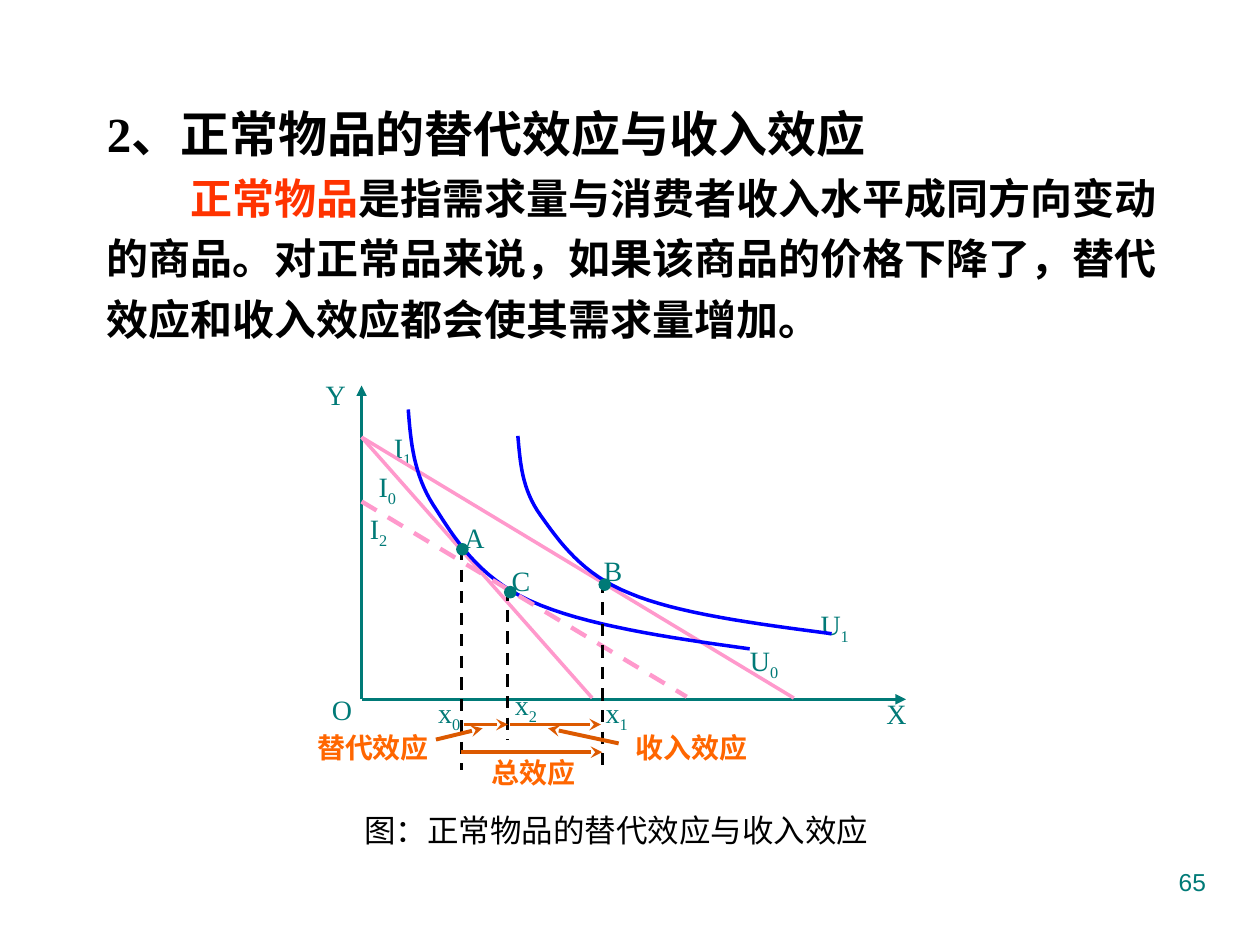
import pptx
import pptx.util
import pptx.dml.color
import pptx.enum.dml
import pptx.enum.shapes
import pptx.enum.text
import pptx.oxml.ns
from lxml import etree

Inches = pptx.util.Inches
Pt = pptx.util.Pt
RGBColor = pptx.dml.color.RGBColor
Align = pptx.enum.text.PP_ALIGN
Dash = pptx.enum.dml.MSO_LINE.DASH
qn = pptx.oxml.ns.qn

TEAL = RGBColor(0x00, 0x7A, 0x77)
BLACK = RGBColor(0, 0, 0)
RED = RGBColor(0xFF, 0x33, 0x00)
PINK = RGBColor(0xFF, 0x99, 0xCC)
BLUE = RGBColor(0, 0, 0xFF)
ORANGE = RGBColor(0xFF, 0x66, 0x00)
RUST = RGBColor(0xDC, 0x59, 0x00)
SERIF = "Times New Roman"

MARKS = [
    ("O", "", 2.45, 5.46), ("X", "", 6.85, 5.49), ("Y", "", 2.4, 2.96),
    ("A", "", 3.5, 4.09), ("B", "", 4.6, 4.35), ("C", "", 3.87, 4.43),
    ("U", "0", 5.8, 5.07), ("U", "1", 6.36, 4.78),
    ("I", "0", 2.81, 3.69), ("I", "1", 2.93, 3.38), ("I", "2", 2.74, 4.02),
    ("x", "0", 3.3, 5.48), ("x", "1", 4.63, 5.48), ("x", "2", 3.91, 5.42),
]
EFFECTS = [
    ("替代效应", 2.4, 5.76, 1.12), ("收入效应", 4.88, 5.76, 1.22),
    ("总效应", 3.79, 5.96, 0.89),
]
AXES = [((2.87, 5.55), (2.87, 3.06)), ((2.87, 5.55), (7.19, 5.55))]
BUDGETS = [((2.87, 3.47), (4.7, 5.54)), ((2.87, 3.47), (6.3, 5.54))]
DROPS = [
    ((3.66, 4.35), (3.66, 6.11)), ((4.03, 4.67), (4.03, 5.87)),
    ((4.78, 4.61), (4.78, 6.11)),
]
ARROWS = [
    ((3.68, 5.75), (4.03, 5.75)), ((4.05, 5.75), (4.77, 5.75)),
    ((3.66, 5.97), (4.78, 5.97)), ((3.46, 5.87), (3.83, 5.78)),
    ((4.91, 5.9), (4.35, 5.78)),
]
CURVES = [
    [(3.24, 3.25), (3.26, 3.5), (3.28, 3.76), (3.44, 4.01), (3.6, 4.26),
     (3.79, 4.58), (4.21, 4.77), (4.63, 4.96), (5.29, 5.06), (5.95, 5.15)],
    [(4.11, 3.46), (4.13, 3.67), (4.14, 3.88), (4.29, 4.09), (4.44, 4.3),
     (4.62, 4.56), (5, 4.71), (5.38, 4.87), (5.99, 4.95), (6.6, 5.03)],
]
DOTS = [(3.67, 4.36), (4.8, 4.64), (4.05, 4.7)]


def style(run, size, color, bold=False, font=SERIF):
    run.font.size = Pt(size)
    run.font.color.rgb = color
    run.font.bold = bold
    run.font.name = font


def add_run(para, text, *look):
    run = para.add_run()
    run.text = text
    style(run, *look)
    return run


def add_box(slide, left, top, width, height, pad=(0.1, 0.05)):
    box = slide.shapes.add_textbox(
        Inches(left), Inches(top), Inches(width), Inches(height))
    frame = box.text_frame
    frame.word_wrap = True
    frame.margin_left = frame.margin_right = Inches(pad[0])
    frame.margin_top = frame.margin_bottom = Inches(pad[1])
    return frame


def add_label(slide, left, top, width, text, sub="", color=TEAL, bold=False):
    para = add_box(slide, left, top, width, 0.34, (0.06, 0.04)).paragraphs[0]
    para.alignment = Align.CENTER
    add_run(para, text, 16, color, bold)
    if sub:
        run = add_run(para, sub, 16, color, bold)
        run.font._element.set("baseline", "-25000")


def add_note(slide, place, text, align, *look):
    para = add_box(slide, *place).paragraphs[0]
    para.alignment = align
    add_run(para, text, *look)


def add_line(slide, ends, color, width, dash=None, tip=None):
    start, stop = ends
    line = slide.shapes.add_connector(
        pptx.enum.shapes.MSO_CONNECTOR.STRAIGHT,
        *(Inches(num) for num in start + stop))
    line.line.color.rgb = color
    line.line.width = Pt(width)
    if dash:
        line.line.dash_style = dash
    props = line._element.spPr
    if tip:
        etree.SubElement(props.find(qn("a:ln")), qn("a:tailEnd"), type=tip)
    etree.SubElement(props, qn("a:effectLst"))


def bezier(a, b, c, d, t):
    s = 1 - t
    return tuple(
        Inches(s**3 * p + 3 * s * s * t * q + 3 * s * t * t * r + t**3 * u)
        for p, q, r, u in zip(a, b, c, d))


def add_curve(slide, knots, steps=16):
    points = [
        bezier(*knots[at:at + 4], step / steps)
        for at in range(0, len(knots) - 1, 3)
        for step in range(steps + 1)]
    build = slide.shapes.build_freeform(*points[0])
    build.add_line_segments(points[1:], close=False)
    curve = build.convert_to_shape()
    curve.shadow.inherit = False
    curve.fill.background()
    curve.line.color.rgb = BLUE
    curve.line.width = Pt(2)


def add_dot(slide, x, y, size=0.1):
    dot = slide.shapes.add_shape(
        pptx.enum.shapes.MSO_SHAPE.OVAL, Inches(x - size / 2),
        Inches(y - size / 2), Inches(size), Inches(size))
    dot.shadow.inherit = False
    dot.fill.solid()
    dot.fill.fore_color.rgb = TEAL
    dot.line.fill.background()


def add_intro(slide):
    frame = add_box(slide, 0.75, 0.68, 8.58, 2.1)
    head = frame.paragraphs[0]
    body = frame.add_paragraph()
    head.line_spacing = body.line_spacing = 1.2
    add_run(head, "2、正常物品的替代效应与收入效应", 28, BLACK, True)
    body._p.get_or_add_pPr().set("indent", str(Pt(48)))
    add_run(body, "正常物品", 24, RED, True)
    add_run(body, "是指需求量与消费者收入水平成同方向变动的商品。"
            "对正常品来说，如果该商品的价格下降了，"
            "替代效应和收入效应都会使其需求量增加。", 24, BLACK, True)


def add_graph(slide):
    for ends in AXES:
        add_line(slide, ends, TEAL, 1.5, tip="triangle")
    for text, sub, left, top in MARKS:
        add_label(slide, left, top, 0.53, text, sub)
    for ends in BUDGETS:
        add_line(slide, ends, PINK, 2)
    for knots in CURVES:
        add_curve(slide, knots)
    add_line(slide, ((2.87, 3.98), (5.45, 5.53)), PINK, 2.5, Dash)
    for ends in DROPS:
        add_line(slide, ends, BLACK, 1.75, Dash)
    for ends in ARROWS:
        add_line(slide, ends, RUST, 2.25, tip="stealth")
    for text, left, top, width in EFFECTS:
        add_label(slide, left, top, width, text, color=ORANGE, bold=True)
    for x, y in DOTS:
        add_dot(slide, x, y)


def main():
    deck = pptx.Presentation()
    deck.slide_width = Inches(10)
    deck.slide_height = Inches(7.5)
    slide = deck.slides.add_slide(deck.slide_layouts[6])
    add_intro(slide)
    add_note(slide, (2.24, 6.39, 5.3, 0.36), "图：正常物品的替代效应与收入效应",
             Align.CENTER, 18, BLACK)
    add_graph(slide)
    add_note(slide, (7.17, 6.83, 2.5, 0.52), "65",
             Align.RIGHT, 14, TEAL, False, "Arial")
    deck.save("out.pptx")


if __name__ == "__main__":
    main()
